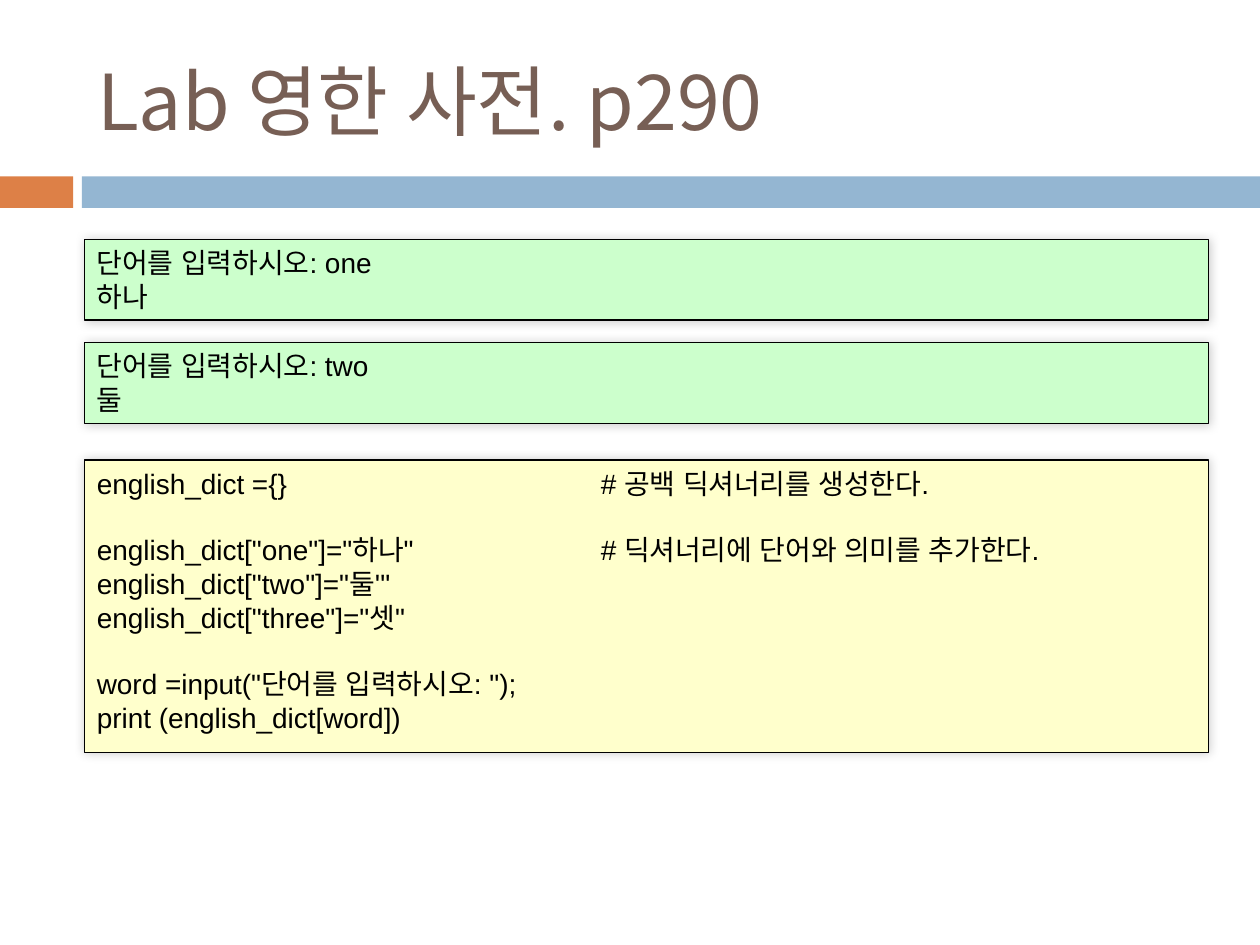
from pptx import Presentation
from pptx.dml.color import RGBColor
from pptx.enum.shapes import MSO_SHAPE
from pptx.enum.text import MSO_ANCHOR, PP_ALIGN
from pptx.oxml import parse_xml
from pptx.oxml.ns import nsdecls
from pptx.util import Inches, Pt

THEME = {
    "title_font": "Noto Sans CJK KR", "body_font": "Arial",
    "title_size": 44, "body_size": 16,
    "title": "775F55", "text": "000000", "border": "000000",
    "accent": "DD8047", "band": "94B6D2",
    "output": "CCFFCC", "code": "FFFFCC",
}
LEFT, WIDTH = 0.67, 8.92
COMMENT_TAB = 4
GROUP_GAP = 19  # points, one line of code

TITLE = "Lab 영한 사전. p290"
BANDS = [(0, 0.58, "accent"), (0.65, 9.35, "band")]  # left, width, colour

# Each panel: top, height, colour, groups of lines
PANELS = [
    (1.9, 0.64, "output", [["단어를 입력하시오: one", "하나"]]),
    (2.72, 0.64, "output", [["단어를 입력하시오: two", "둘"]]),
    (3.65, 2.32, "code", [
        ["english_dict ={}\t# 공백 딕셔너리를 생성한다."],
        ['english_dict["one"]="하나"\t# 딕셔너리에 단어와 의미를 추가한다.',
         'english_dict["two"]="둘\'"',
         'english_dict["three"]="셋"'],
        ['word =input("단어를 입력하시오: ");',
         "print (english_dict[word])"],
    ]),
]


def color(name):
    return RGBColor.from_string(THEME[name])


def write(para, text, *, font, size, fill, space_before=0):
    para.alignment = PP_ALIGN.LEFT
    para.space_before = Pt(space_before)
    span = para.add_run()
    span.text = text
    span.font.name = THEME[font]
    span.font.size = Pt(THEME[size])
    span.font.color.rgb = color(fill)
    span.font._element.append(parse_xml(
        f'<a:ea {nsdecls("a")} typeface="{THEME[font]}"/>'))


def add_box(slide, left, top, width, height, fill):
    box = slide.shapes.add_shape(MSO_SHAPE.RECTANGLE, Inches(left), Inches(top),
                                 Inches(width), Inches(height))
    box.shadow.inherit = False
    box.fill.solid()
    box.fill.fore_color.rgb = color(fill)
    box.line.fill.background()
    return box


def add_soft_shadow(box):
    effects = box._element.spPr.find("{*}effectLst")
    effects.append(parse_xml(
        f'<a:outerShdw {nsdecls("a")} blurRad="{Pt(6)}" dist="0" dir="18900000">'
        '<a:srgbClr val="000000"><a:alpha val="20000"/></a:srgbClr></a:outerShdw>'))


def add_tab_stop(para, position):
    para._p.get_or_add_pPr().append(parse_xml(
        f'<a:tabLst {nsdecls("a")}><a:tab pos="{Inches(position)}" algn="l"/></a:tabLst>'))


def add_panel(slide, top, height, fill, groups):
    box = add_box(slide, LEFT, top, WIDTH, height, fill)
    box.line.color.rgb = color("border")
    box.line.width = Pt(0.75)
    add_soft_shadow(box)
    frame = box.text_frame
    frame.word_wrap = True
    frame.vertical_anchor = MSO_ANCHOR.TOP
    para = frame.paragraphs[0]
    for group_index, lines in enumerate(groups):
        for line_index, line in enumerate(lines):
            if group_index or line_index:
                para = frame.add_paragraph()
            gap = GROUP_GAP if group_index and not line_index else 0
            write(para, line, font="body_font", size="body_size", fill="text",
                  space_before=gap)
            if "\t" in line:
                add_tab_stop(para, COMMENT_TAB)


def main():
    deck = Presentation()
    deck.slide_width, deck.slide_height = Inches(10), Inches(7.5)
    slide = deck.slides.add_slide(deck.slide_layouts[5])

    title = slide.shapes.title
    title.left, title.top = Inches(LEFT), Inches(0.25)
    title.width, title.height = Inches(WIDTH), Inches(1.08)
    title.text_frame.vertical_anchor = MSO_ANCHOR.MIDDLE
    write(title.text_frame.paragraphs[0], TITLE,
          font="title_font", size="title_size", fill="title")

    for left, width, fill in BANDS:
        add_box(slide, left, 1.4, width, 0.25, fill)
    for panel in PANELS:
        add_panel(slide, *panel)

    deck.save("out.pptx")


if __name__ == "__main__":
    main()
